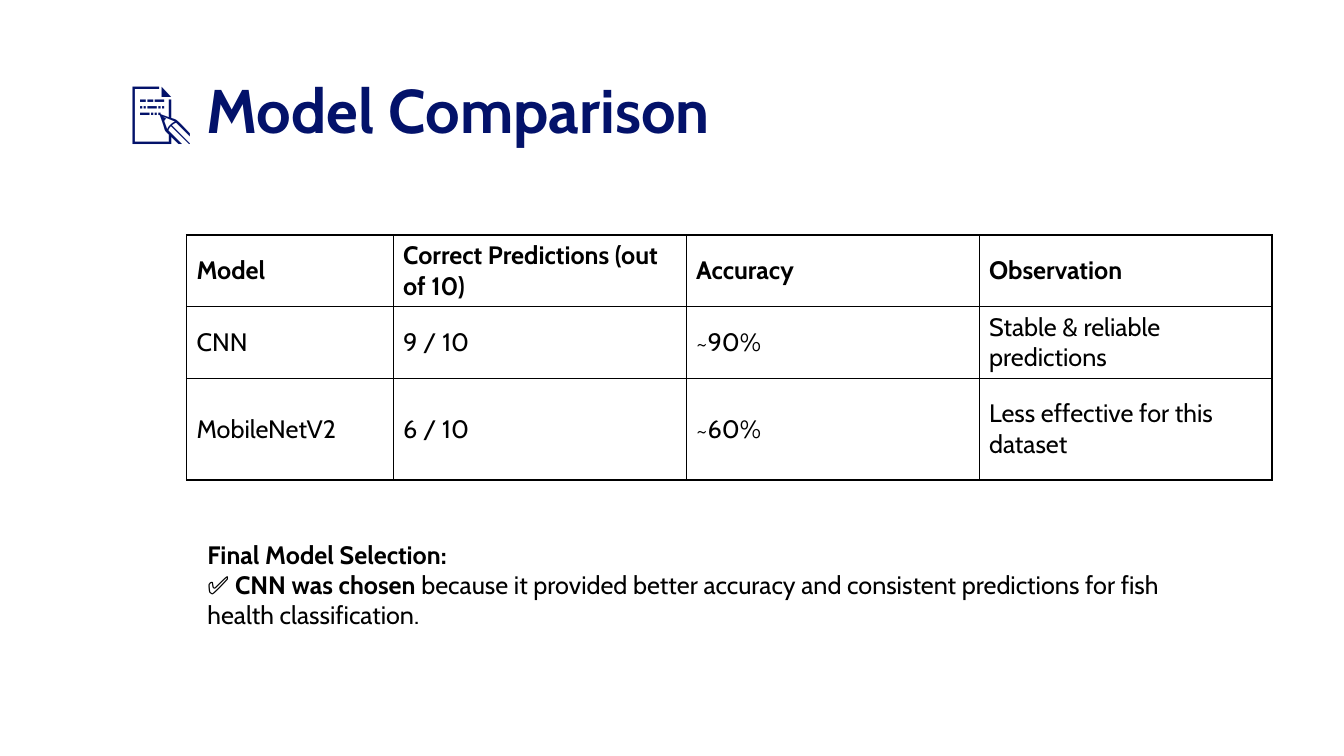
import dataclasses

import lxml.etree
import pptx
import pptx.dml.color
import pptx.enum.text
import pptx.oxml.ns
import pptx.util

Pt = pptx.util.Pt


@dataclasses.dataclass(frozen=True)
class Theme:
    font: str = "Cabin"
    title_color: str = "03126A"
    text_color: str = "000000"
    border_color: str = "000000"
    title_size: float = 44
    text_size: float = 18
    border_width: float = 1


class SlideBuilder:
    """Holds the theme and the current slide."""

    def __init__(self, slide, theme):
        self.slide = slide
        self.theme = theme

    def style(self, paragraph, size, color, bold=None):
        paragraph.alignment = pptx.enum.text.PP_ALIGN.LEFT
        font = paragraph.font
        font.name = self.theme.font
        font.size = Pt(size)
        font.bold = bold
        font.color.rgb = pptx.dml.color.RGBColor.from_string(color)

    def title(self, text, left, top, width, height):
        heading = self.slide.shapes.title
        heading.left, heading.top = Pt(left), Pt(top)
        heading.width, heading.height = Pt(width), Pt(height)
        frame = heading.text_frame
        frame.text = text
        frame.word_wrap = True
        frame.auto_size = pptx.enum.text.MSO_AUTO_SIZE.NONE
        frame.vertical_anchor = pptx.enum.text.MSO_ANCHOR.TOP
        self.style(frame.paragraphs[0], self.theme.title_size,
                   self.theme.title_color, bold=True)

    def text(self, lines, left, top, width, height):
        """Lines are lists of (text, bold) within one paragraph."""
        box = self.slide.shapes.add_textbox(Pt(left), Pt(top), Pt(width), Pt(height))
        box.text_frame.word_wrap = True
        paragraph = box.text_frame.paragraphs[0]
        self.style(paragraph, self.theme.text_size, self.theme.text_color)
        for index, line in enumerate(lines):
            if index:
                paragraph.add_line_break()
            for words, bold in line:
                run = paragraph.add_run()
                run.text = words
                run.font.bold = bold

    def borders(self, cell):
        properties = cell._tc.get_or_add_tcPr()
        qn = pptx.oxml.ns.qn
        for index, side in enumerate(("lnL", "lnR", "lnT", "lnB")):
            line = lxml.etree.Element(qn(f"a:{side}"), w=str(Pt(self.theme.border_width)))
            fill = lxml.etree.SubElement(line, qn("a:solidFill"))
            lxml.etree.SubElement(fill, qn("a:srgbClr"), val=self.theme.border_color)
            properties.insert(index, line)

    def table(self, rows, left, top, widths, heights):
        table = self.slide.shapes.add_table(
            len(rows), len(widths), Pt(left), Pt(top),
            Pt(sum(widths)), Pt(sum(heights))).table
        table.first_row = table.horz_banding = False
        for column, width in zip(table.columns, widths):
            column.width = Pt(width)
        for row_index, (values, height) in enumerate(zip(rows, heights)):
            table.rows[row_index].height = Pt(height)
            for column_index, value in enumerate(values):
                cell = table.cell(row_index, column_index)
                cell.text = value
                cell.vertical_anchor = pptx.enum.text.MSO_ANCHOR.MIDDLE
                cell.fill.background()
                self.borders(cell)
                self.style(cell.text_frame.paragraphs[0], self.theme.text_size,
                           self.theme.text_color, bold=row_index == 0)


def main():
    presentation = pptx.Presentation()
    presentation.slide_width, presentation.slide_height = Pt(960), Pt(540)
    title_only = presentation.slide_layouts[5]
    builder = SlideBuilder(presentation.slides.add_slide(title_only), Theme())

    # Heading
    builder.title("📝 Model Comparison", 85.7, 47.5, 480, 60.5)

    # Results by model
    model_results = [
        ("Model", "Correct Predictions (out of 10)", "Accuracy", "Observation"),
        ("CNN", "9 / 10", "~90%", "Stable & reliable predictions"),
        ("MobileNetV2", "6 / 10", "~60%", "Less effective for this dataset"),
    ]
    builder.table(model_results, 133.2, 167.8,
                  widths=[147.6] + [209.3] * 3, heights=[50.4, 47.5, 72.7])

    # Conclusion
    final_selection = [
        [("Final Model Selection:", True)],
        [("✅ ", False), ("CNN was chosen", True),
         (" because it provided better accuracy and consistent predictions"
          " for fish health classification.", False)],
    ]
    builder.text(final_selection, 141.1, 381.6, 740, 72.7)

    presentation.save("out.pptx")


if __name__ == "__main__":
    main()
